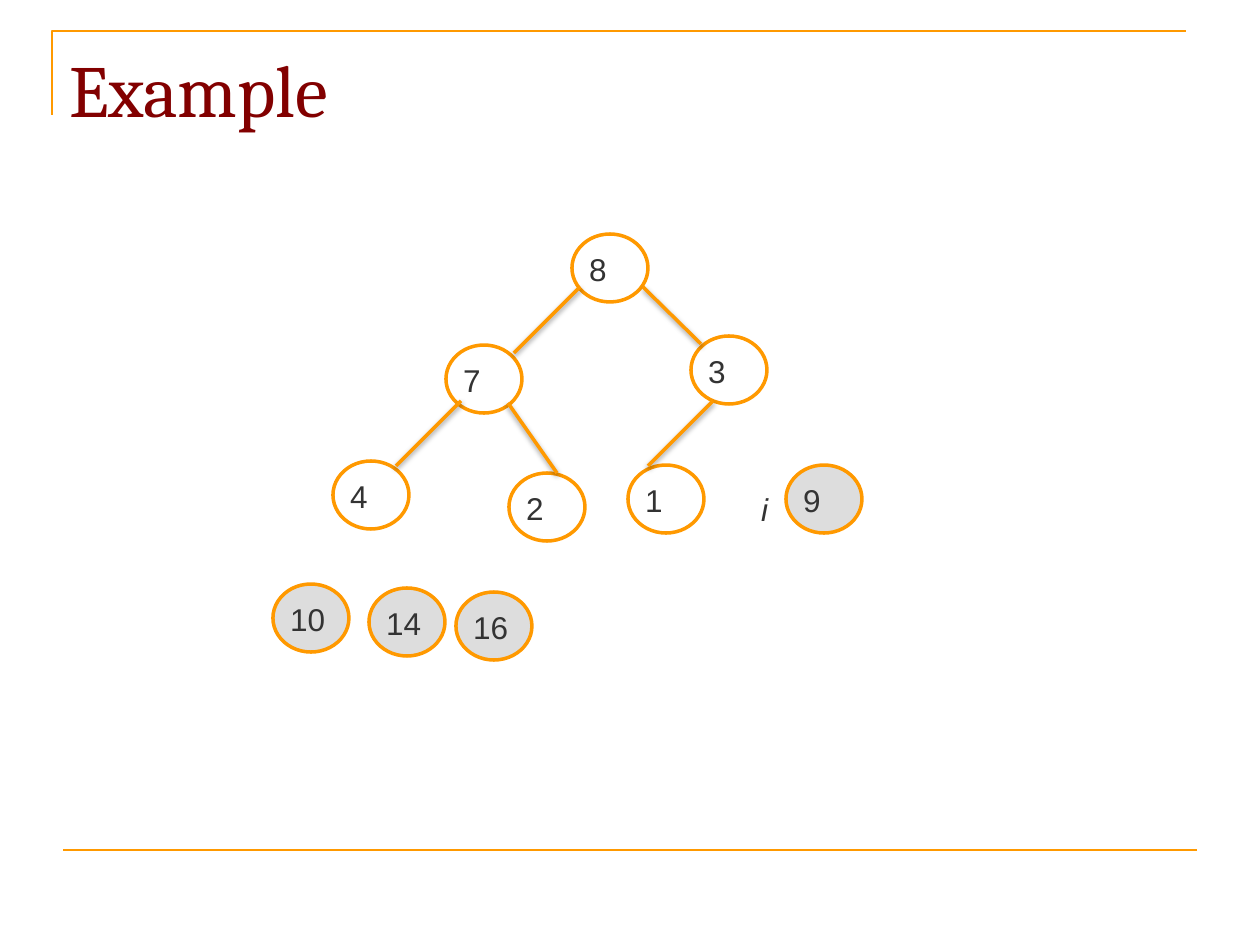
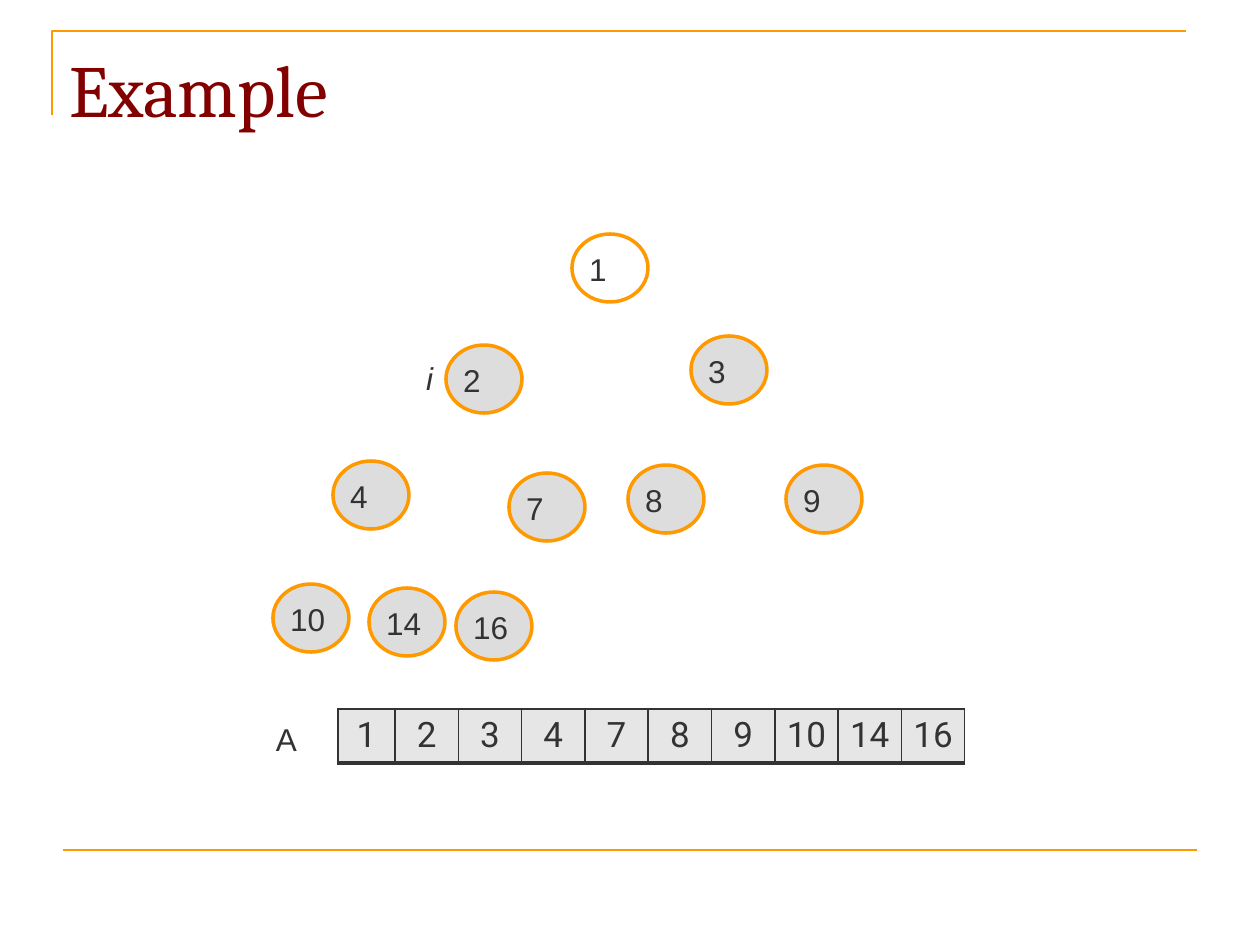
import pptx
import pptx.dml.color
import pptx.enum.shapes
import pptx.enum.text
import pptx.oxml
import pptx.oxml.ns
import pptx.util

SCALE = 914400 / 126
ORANGE, MAROON, INK = "FF9900", "820000", "333333"
WHITE, SORTED_GREY, CELL_GREY = "FFFFFF", "DDDDDD", "E6E6E6"
INSET = 6
NODE_W, NODE_H = 76, 68
NODE_SPOTS = [(299, 0), (173, 111), (418, 102), (60, 227), (236, 239),
              (355, 231), (513, 231), (0, 350), (96, 354), (183, 358)]
EDGES = [(241, 119, 307, 53), (428, 110, 370, 53), (123, 232, 188, 167),
         (284, 239, 235, 169), (375, 232, 440, 167)]
NAMESPACE = pptx.oxml.ns.nsdecls("a")
EDGE_SHADOW = (
    f'<a:effectLst {NAMESPACE}><a:outerShdw blurRad="38100" dist="20320" dir="5400000">'
    '<a:srgbClr val="000000"><a:alpha val="38000"/></a:srgbClr></a:outerShdw></a:effectLst>')
NO_SHADOW = f"<a:effectLst {NAMESPACE}/>"


def px(*lengths):
    return [pptx.util.Emu(round(length * SCALE)) for length in lengths]


def color(value):
    return pptx.dml.color.RGBColor.from_string(value)


def fill(part, value):
    part.fill.solid()
    part.fill.fore_color.rgb = color(value)


def stroke(part, width):
    part.line.color.rgb = color(ORANGE)
    part.line.width = pptx.util.Pt(width)


def write(frame, text, size, font="Arial", ink=INK, italic=False,
          align=pptx.enum.text.PP_ALIGN.LEFT):
    frame.margin_left, frame.margin_top, frame.margin_right, frame.margin_bottom = px(*[INSET] * 4)
    frame.vertical_anchor = pptx.enum.text.MSO_ANCHOR.TOP
    frame.text = text
    paragraph = frame.paragraphs[0]
    paragraph.alignment = align
    for run in paragraph.runs:
        run.font.size = pptx.util.Pt(size)
        run.font.name = font
        run.font.italic = italic
        run.font.color.rgb = color(ink)


def connect(shapes, x1, y1, x2, y2, width, effect):
    edge = shapes.add_connector(pptx.enum.shapes.MSO_CONNECTOR.STRAIGHT, *px(x1, y1, x2, y2))
    stroke(edge, width)
    edge._element.spPr.append(pptx.oxml.parse_xml(effect))


def add_frame(slide, left, top, width, height):
    corner = slide.shapes.build_freeform(left, top + 84, SCALE)
    corner.add_line_segments([(left, top), (left + width, top)], close=False)
    bracket = corner.convert_to_shape()
    bracket.fill.background()
    bracket.shadow.inherit = False
    stroke(bracket, 1.5)
    base = top + height
    connect(slide.shapes, left + 11, base, left + 11 + width, base, 1.5, NO_SHADOW)


def add_title(slide, left, top, width, height, text):
    title = slide.shapes.title
    title.left, title.top, title.width, title.height = px(left, top, width, height)
    write(title.text_frame, text, 42, "Cambria", MAROON)
    title.text_frame.auto_size = pptx.enum.text.MSO_AUTO_SIZE.NONE


def add_label(slide, left, top, width, height, text, italic=False):
    label = slide.shapes.add_textbox(*px(left, top, width, height))
    write(label.text_frame, text, 18, italic=italic)
    label.text_frame.word_wrap = False


def add_heap(slide, left, top, values, heap_size, edges):
    heap = slide.shapes.add_group_shape()
    for index, (value, (x, y)) in enumerate(zip(values, NODE_SPOTS)):
        node = heap.shapes.add_shape(pptx.enum.shapes.MSO_SHAPE.OVAL,
                                     *px(left + x, top + y, NODE_W, NODE_H))
        node.shadow.inherit = False
        fill(node, WHITE if index < heap_size else SORTED_GREY)
        stroke(node, 2)
        write(node.text_frame, str(value), 18)
    for x1, y1, x2, y2 in edges:
        connect(heap.shapes, left + x1, top + y1, left + x2, top + y2, 2, EDGE_SHADOW)


def set_borders(cell):
    properties = cell._tc.get_or_add_tcPr()
    for position, (side, width) in enumerate([("L", 1), ("R", 1), ("T", 1), ("B", 2.25)]):
        properties.insert(position, pptx.oxml.parse_xml(
            f'<a:ln{side} {NAMESPACE} w="{round(width * 12700)}"><a:solidFill>'
            f'<a:srgbClr val="{INK}"/></a:solidFill></a:ln{side}>'))


def add_array(slide, left, top, width, height, values):
    add_label(slide, left - 68, top + 5, 35, 48, "A")
    first_width = 57
    array = slide.shapes.add_table(1, len(values), *px(left, top, width, height)).table
    array.first_row = False
    array.horz_banding = False
    for index, value in enumerate(values):
        column_width = (width - first_width) / (len(values) - 1) if index else first_width
        array.columns[index].width = px(column_width)[0]
        cell = array.cell(0, index)
        fill(cell, CELL_GREY)
        set_borders(cell)
        write(cell.text_frame, str(value), 20, "Roboto", align=pptx.enum.text.PP_ALIGN.CENTER)
        cell.margin_left, cell.margin_right, cell.margin_top, cell.margin_bottom = px(*[INSET] * 4)
        cell.text_frame.paragraphs[0].space_before = pptx.util.Pt(4)


def add_example(deck, values, heap_size, edges, pointer):
    slide = deck.slides.add_slide(deck.slide_layouts[5])
    add_frame(slide, 52, 31, 1134, 819)
    add_title(slide, 63, 38, 1134, 130, "Example")
    add_heap(slide, 273, 234, values, heap_size, edges)
    add_label(slide, *pointer, 21, 48, "i", italic=True)
    return slide


deck = pptx.Presentation()
deck.slide_width, deck.slide_height = px(1260, 945)
add_example(deck, [8, 7, 3, 4, 2, 1, 9, 10, 14, 16], 6, EDGES, (755, 484))
sorted_values = [1, 2, 3, 4, 7, 8, 9, 10, 14, 16]
sorted_slide = add_example(deck, sorted_values, 1, [], (420, 353))
add_array(sorted_slide, 338, 709, 627, 45, sorted_values)
deck.save("out.pptx")
